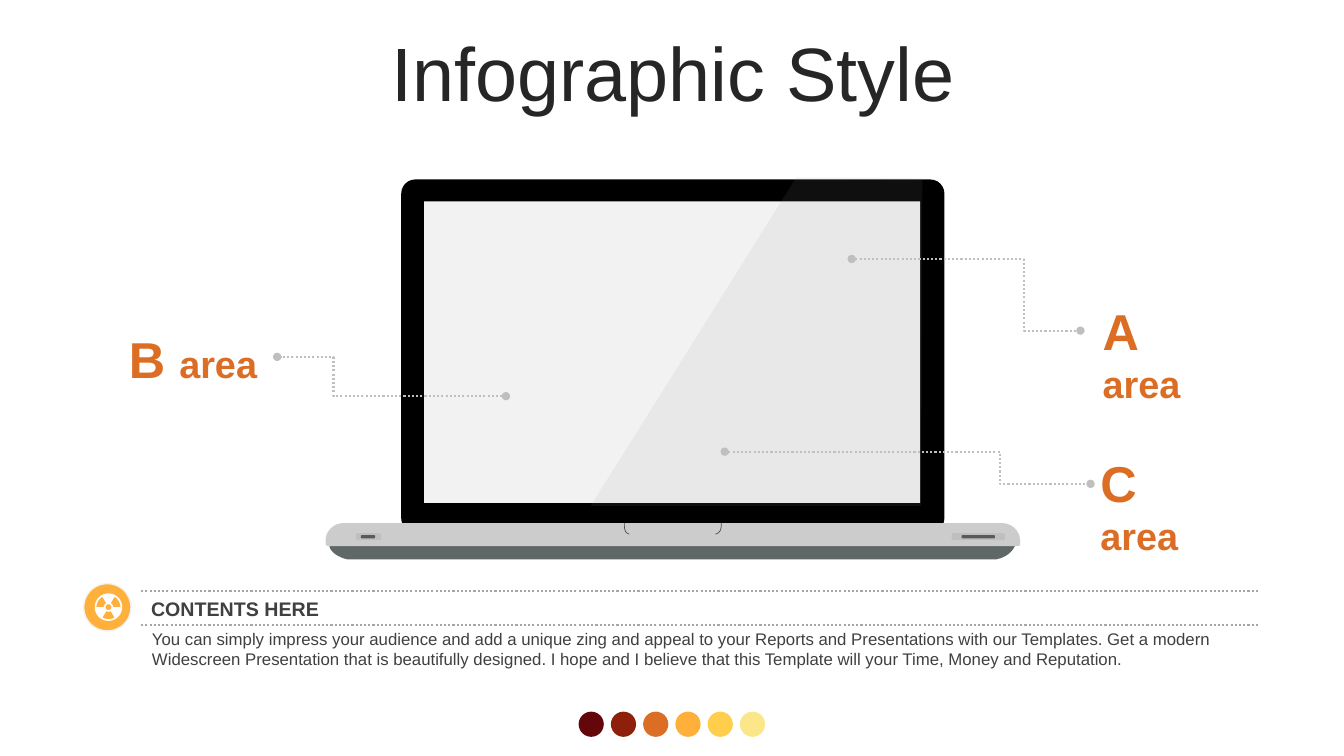
from math import cos, radians, sin

from lxml import etree
from pptx import Presentation
from pptx.dml.color import RGBColor
from pptx.enum.dml import MSO_LINE
from pptx.enum.shapes import MSO_CONNECTOR, MSO_SHAPE
from pptx.enum.text import MSO_ANCHOR, PP_ALIGN
from pptx.oxml.ns import qn
from pptx.util import Pt

OVAL, RECT, ROUND = MSO_SHAPE.OVAL, MSO_SHAPE.RECTANGLE, MSO_SHAPE.ROUNDED_RECTANGLE
STRAIGHT = MSO_CONNECTOR.STRAIGHT
DOTS = MSO_LINE.ROUND_DOT
MIDDLE, TOP = MSO_ANCHOR.MIDDLE, MSO_ANCHOR.TOP
CENTER, LEFT = PP_ALIGN.CENTER, PP_ALIGN.LEFT

HEX = {
    "title": "262626", "text": "404040", "white": "FFFFFF", "black": "000000",
    "screen": "F2F2F2", "base": "CCCCCC", "foot": "5F6767", "notch": "4D4D4D",
    "slot": "BFBFBF", "port": "595959", "glare": "999999", "rule": "A6A6A6",
    "wine": "63070A", "rust": "8E1F0B", "orange": "DB6D25",
    "amber": "FFB03B", "gold": "FFCE4B", "cream": "FCE68A",
}


def rgb(name):
    return RGBColor.from_string(HEX[name])


def bend(start, curve, steps=10):
    """Points along a cubic curve given as two handles and an end."""
    knots = [start, curve[:2], curve[2:4], curve[4:]]
    for i in range(1, steps + 1):
        t = i / steps
        parts = ((1 - t) ** 3, 3 * t * (1 - t) ** 2, 3 * t * t * (1 - t), t ** 3)
        yield tuple(sum(w * k[axis] for w, k in zip(parts, knots)) for axis in (0, 1))


def arc(x, y, size, first, last):
    """Points on a circle, one every six degrees."""
    step = 6 if last > first else -6
    return [(x + size * cos(radians(a)), y + size * sin(radians(a)))
            for a in range(first, last + step, step)]


class Board:
    def __init__(self, slide, face):
        self.shapes = slide.shapes
        self.face = face

    def paint(self, shape, fill=None, line=None, width=1, dash=None, ends=False):
        shape.shadow.inherit = False
        if fill:
            shape.fill.solid()
            shape.fill.fore_color.rgb = rgb(fill)
        else:
            shape.fill.background()
        self.stroke(shape, line, width, dash, ends)
        return shape

    def stroke(self, shape, line, width, dash=None, ends=False):
        if not line:
            shape.line.fill.background()
            return
        shape.line.color.rgb = rgb(line)
        shape.line.width = Pt(width)
        if dash:
            shape.line.dash_style = dash
        if ends:
            for tag in ("a:headEnd", "a:tailEnd"):
                etree.SubElement(shape.element.spPr.find(qn("a:ln")), qn(tag), type="oval")

    def shape(self, kind, box, fill, adj=None, **look):
        shape = self.shapes.add_shape(kind, *map(Pt, box))
        if adj is not None:
            shape.adjustments[0] = adj
        return self.paint(shape, fill, **look)

    def outline(self, loops, close=True, **look):
        """Draw loops of points; an item of six numbers is a curve."""
        pen = None
        for loop in loops:
            dots = [loop[0]]
            for item in loop[1:]:
                dots.extend(bend(dots[-1], item) if len(item) == 6 else [item])
            spots = [(Pt(x), Pt(y)) for x, y in dots]
            if pen is None:
                pen = self.shapes.build_freeform(*spots[0], scale=1.0)
            else:
                pen.move_to(*spots[0])
            pen.add_line_segments(spots[1:], close=close)
        return self.paint(pen.convert_to_shape(), **look)

    def rule(self, x, y, end, line, width):
        rule = self.shapes.add_connector(STRAIGHT, Pt(x), Pt(y), Pt(end), Pt(y))
        self.stroke(rule, line, width, DOTS)
        etree.SubElement(rule.element.spPr, qn("a:effectLst"))

    def text(self, box, runs, color, bold=False, align=LEFT, anchor=TOP, space=None):
        frame = self.shapes.add_textbox(*map(Pt, box)).text_frame
        for key, value in {"word_wrap": True, "vertical_anchor": anchor}.items():
            setattr(frame, key, value)
        para = frame.paragraphs[0]
        for key, value in {"alignment": align, "line_spacing": space}.items():
            setattr(para, key, value)
        for words, size in runs:
            run = para.add_run()
            run.text = words
            style = {"name": self.face, "size": Pt(size), "bold": bold}
            for key, value in style.items():
                setattr(run.font, key, value)
            run.font.color.rgb = rgb(color)


def main():
    deck = Presentation()
    deck.slide_width, deck.slide_height = Pt(960), Pt(540)
    board = Board(deck.slides.add_slide(deck.slide_layouts[6]), "Arial")

    # Laptop
    board.outline([[(248.4, 399.6), (711.4, 399.6), (711.4, 399.6, 721.4, 398.2, 725, 390),
                    (725, 386), (235.4, 386), (235.4, 391),
                    (238.3, 397, 245.5, 399, 248.4, 399.6)]], fill="foot")
    board.shape(ROUND, (286.6, 128.2, 388, 252), "black", 0.04)
    board.shape(RECT, (303, 143.8, 354.4, 215.5), "screen")
    board.outline([[(245.5, 373.7), (715.7, 373.7), (722.9, 373.7, 728.6, 379.4, 728.6, 386),
                    (728.6, 388.8), (728.6, 390.2, 727.5, 390.2, 723.6, 390.2),
                    (236.9, 390.2), (234, 390.2, 232.6, 390, 232.6, 388),
                    (232.6, 386), (232.6, 379.4, 238.3, 373.7, 245.5, 373.7)]], fill="base")
    board.outline([[(446, 373.7), (445.8, 378, 446.5, 380.8, 449.5, 381.5)],
                   [(515.2, 373.7), (515.4, 378, 514.5, 380.8, 511, 381.5)]],
                  close=False, line="notch", width=0.5)
    for x, wide, inset, port in ((254.2, 18, 3.6, 10.1), (679.7, 38.2, 7.2, 23.8)):
        board.shape(ROUND, (x, 380.9, wide, 5), "slot", 0.28)
        board.shape(ROUND, (x + inset, 382.3, port, 2.2), "port", 0.28)
    glare = board.outline([[(568.8, 126.7), (658.8, 127.4), (658, 361.4), (421.9, 361.4)]],
                          fill="glare")
    tint = glare.element.spPr.find(qn("a:solidFill"))[0]
    etree.SubElement(tint, qn("a:alpha"), val="10000")

    # Palette dots
    for i, name in enumerate(("wine", "rust", "orange", "amber", "gold", "cream")):
        board.shape(OVAL, (413.3 + 23.04 * i, 508.3, 18, 18), name)

    # Title
    board.text((25.2, 26.6, 911.5, 56.9), [("Infographic Style", 54)], "title",
               align=CENTER, anchor=MIDDLE, space=0.9)

    # Area labels and their leaders
    areas = (
        ("A ", (780.5, 211, 95, 51.1), (608.4, 185), 731.5, (771.8, 236.2)),
        ("B ", (85, 231.1, 118.1, 51.1), (361.4, 283), 238.3, (198, 254.9)),
        ("C ", (779, 319.7, 92.2, 51.1), (517.7, 322.6), 714.2, (779, 345.6)),
    )
    for mark, box, start, turn, end in areas:
        board.text(box, [(mark, 36), ("area", 27)], "orange", bold=True)
        board.outline([[start, (turn, start[1]), (turn, end[1]), end]], close=False,
                      line="slot", width=1.5, dash=DOTS, ends=True)

    # Contents strip
    for y in (422.4, 446.2):
        board.rule(100.8, y, 900, "rule", 1.5)
    board.text((101.5, 445.7, 799.2, 36), [(
        "You can simply impress your audience and add a unique zing and appeal to your "
        "Reports and Presentations with our Templates. Get a modern Widescreen "
        "Presentation that is beautifully designed. I hope and I believe that this "
        "Template will your Time, Money and Reputation.", 12)], "text")
    board.text((100.8, 422.6, 800.6, 24.5), [("CONTENTS HERE", 14)], "text", bold=True)

    # Radiation badge
    board.shape(OVAL, (59.8, 416.9, 33.8, 33.8), "amber", line="screen", width=1)
    hub = (77.5, 433.7)
    blades = [arc(*hub, 8.6, a, a + 60) + arc(*hub, 3.3, a + 60, a) for a in (60, 180, 300)]
    board.outline([arc(*hub, 9.8, 0, 354), arc(*hub, 2.1, 354, 0), *blades], fill="white")

    deck.save("out.pptx")


if __name__ == "__main__":
    main()
